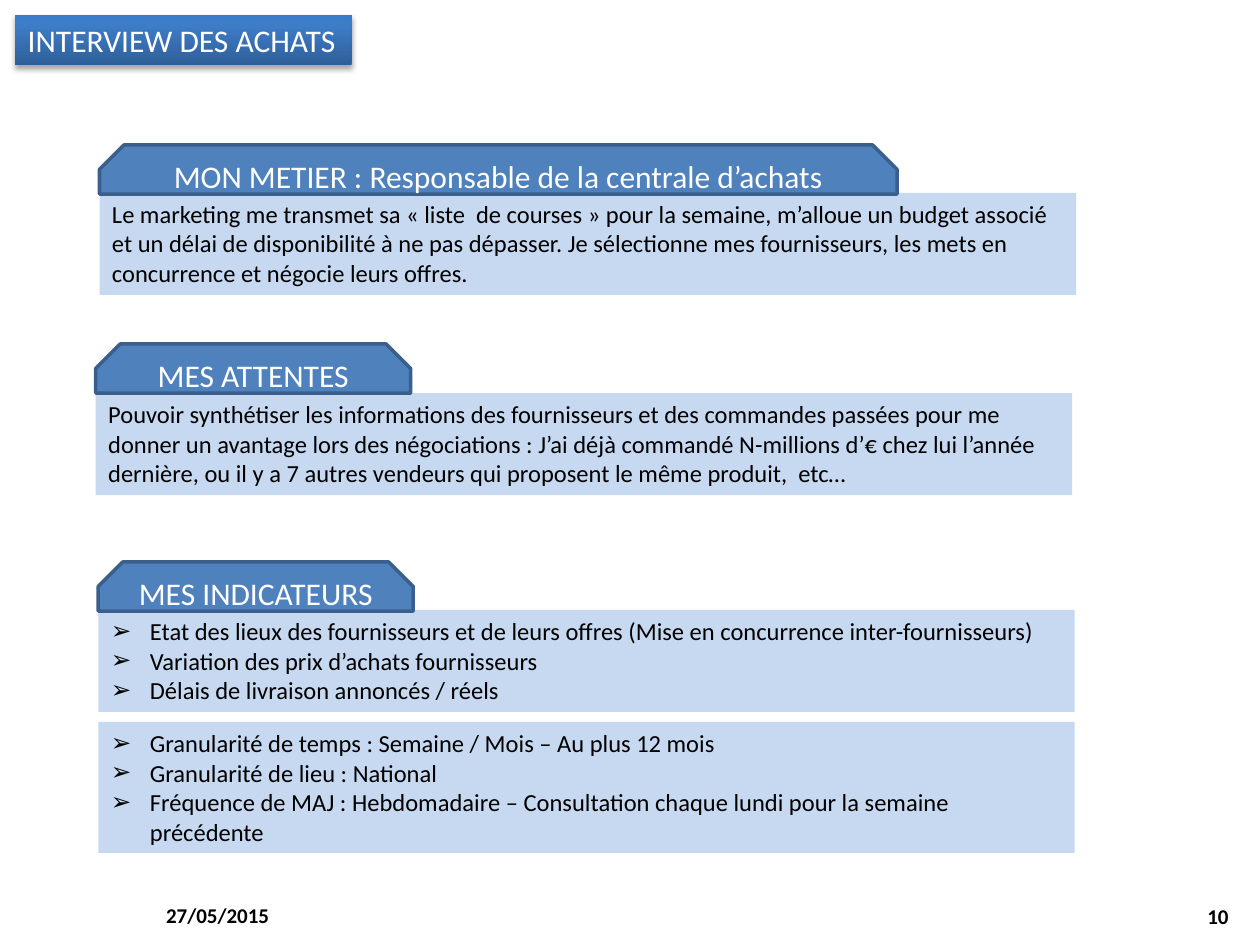
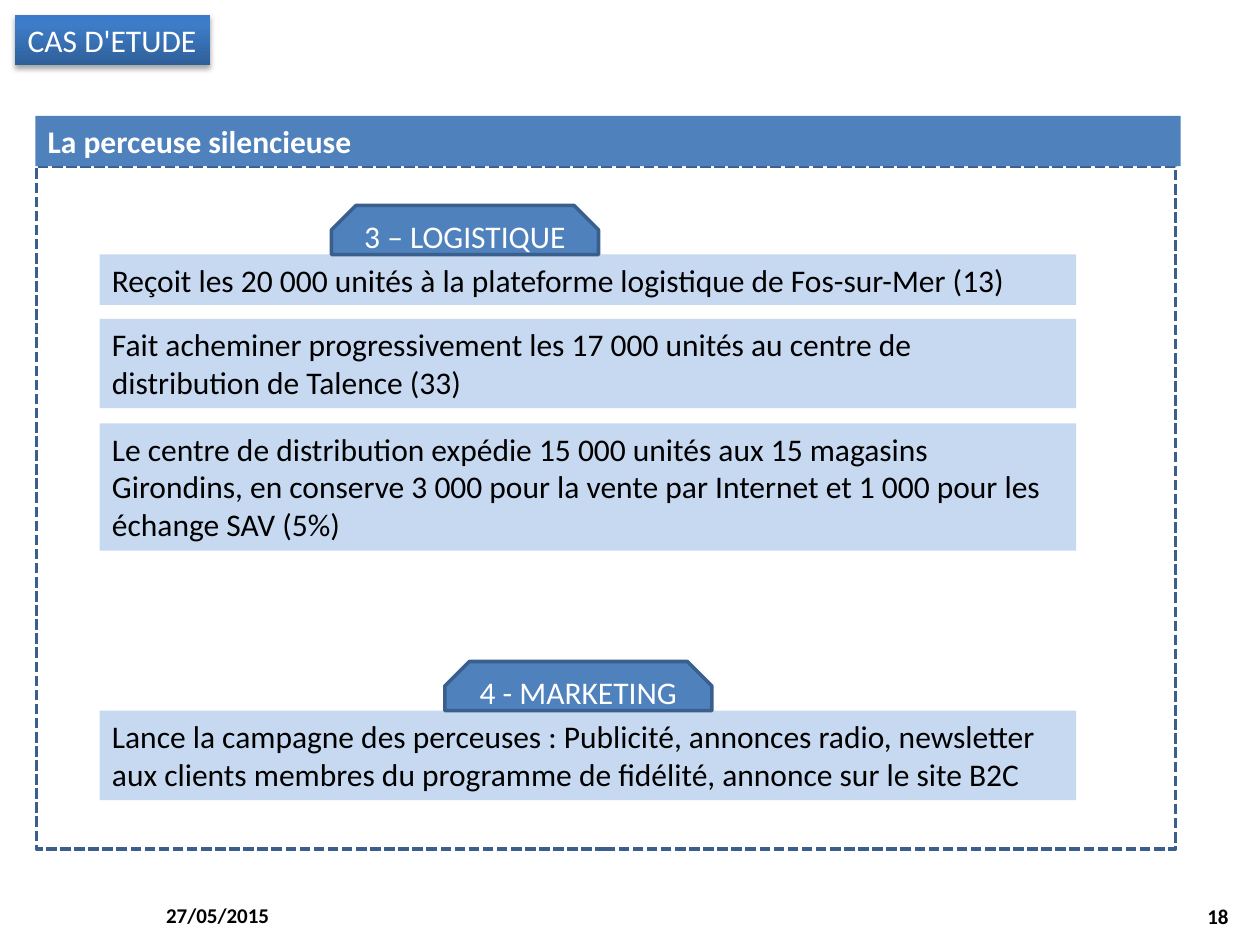
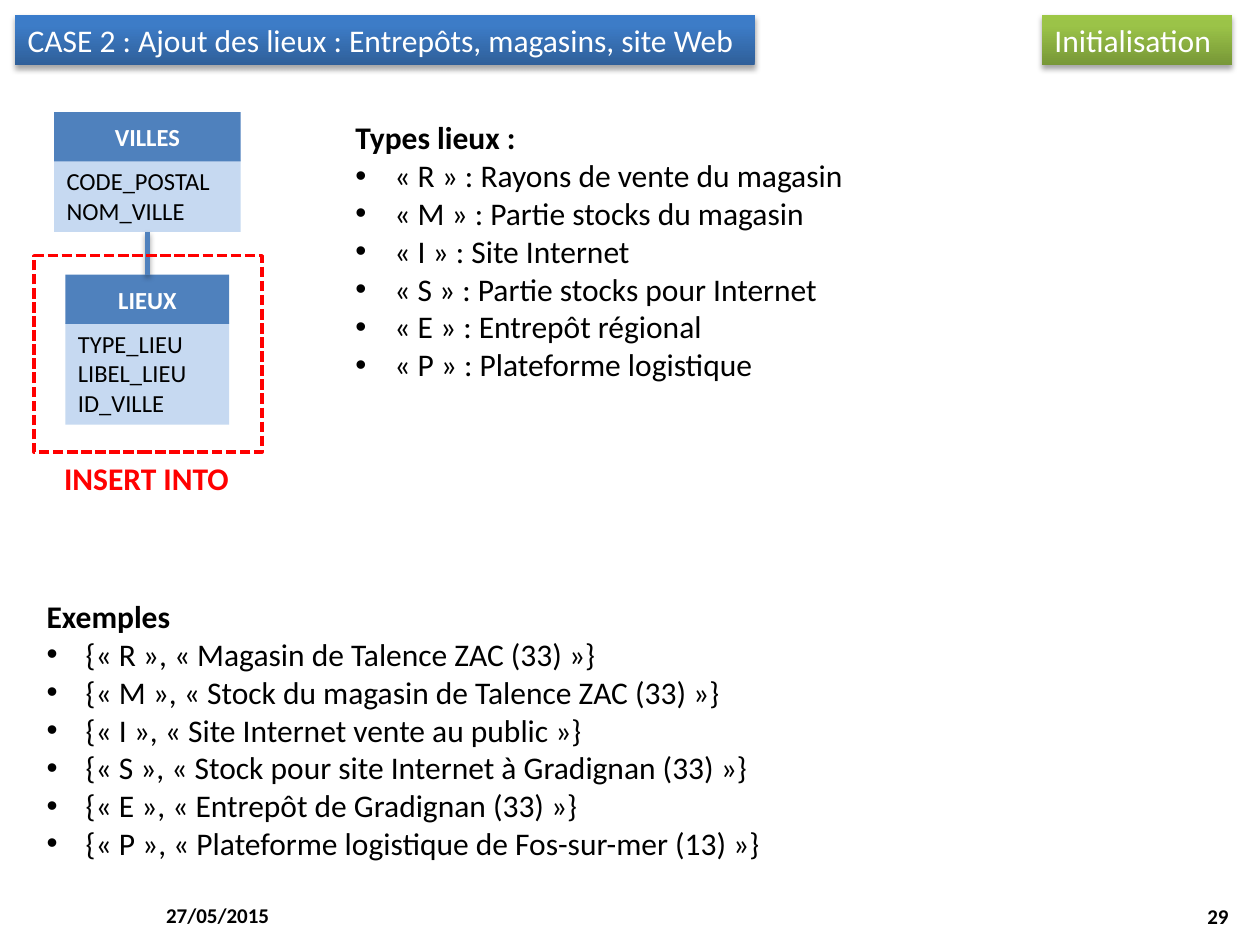
from lxml import etree
from pptx import Presentation
from pptx.dml.color import RGBColor
from pptx.enum.dml import MSO_LINE
from pptx.enum.shapes import MSO_CONNECTOR, MSO_SHAPE as SHAPE
from pptx.enum.text import MSO_ANCHOR as ANCHOR, MSO_AUTO_SIZE, PP_ALIGN as ALIGN
from pptx.oxml import parse_xml
from pptx.oxml.ns import nsdecls, qn
from pptx.util import Inches, Pt

rgb = RGBColor.from_string
FONT = "Calibri"
BLACK, WHITE, RED = "000000", "FFFFFF", "FF0000"
BLUE, PALE, EDGE = "4F81BD", "C6D9F1", "3A5F8C"
BLUE_BAND = (("0", "2F5F99"), ("80000", "3D7CC7"), ("100000", "3A7CCB"))
GREEN_BAND = (("0", "779737"), ("80000", "9BC348"), ("100000", "9DC746"))
A = nsdecls("a")
SHADOW = (f'<a:effectLst {A}><a:outerShdw blurRad="40000" dist="23000" dir="5400000" '
          'rotWithShape="0"><a:srgbClr val="000000"><a:alpha val="35000"/></a:srgbClr>'
          '</a:outerShdw></a:effectLst>')


def draw(s, kind, at, fill=None, line=None, dash=None):
    sp = s.shapes.add_shape(kind, *map(Inches, at))
    sp.shadow.inherit = False
    if fill:
        sp.fill.solid()
        sp.fill.fore_color.rgb = rgb(fill)
    else:
        sp.fill.background()
    if line:
        sp.line.color.rgb = rgb(line)
        sp.line.width = Pt(2)
        sp.line.dash_style = dash
    else:
        sp.line.fill.background()
    return sp


def write(sp, lines, size=18, color=BLACK, bold=False, align=ALIGN.LEFT,
          anchor=ANCHOR.TOP, bullet=None, heading=False, wrap=True):
    tf = sp.text_frame
    tf.word_wrap = wrap
    tf.auto_size = MSO_AUTO_SIZE.NONE
    tf.vertical_anchor = anchor
    for i, line in enumerate(lines):
        p = tf.paragraphs[0] if i == 0 else tf.add_paragraph()
        is_heading = heading and i == 0
        marked = bullet and not is_heading
        indent = Inches(0.31) if marked else 0
        pPr = p._p.get_or_add_pPr()
        pPr.set("marL", str(indent))
        pPr.set("indent", str(-indent))
        if marked:
            etree.SubElement(pPr, qn("a:buChar")).set("char", bullet)
        else:
            etree.SubElement(pPr, qn("a:buNone"))
        p.space_before = Pt(0)
        p.alignment = align
        r = p.add_run()
        r.text = line
        r.font.name = FONT
        r.font.size = Pt(size)
        r.font.bold = bool(bold or is_heading)
        r.font.color.rgb = rgb(color)


prs = Presentation()
prs.slide_width, prs.slide_height = Inches(10), Inches(7.5)
TWO_LISTS, TITLE_ONLY = prs.slide_layouts[3], prs.slide_layouts[5]

slides = []
for layout, title, width, number in (
    (TWO_LISTS, "INTERVIEW DES ACHATS", 2.67, "10"),
    (TITLE_ONLY, "CAS D'ETUDE", 1.55, "18"),
    (TWO_LISTS, "CASE 2 : Ajout des lieux : Entrepôts, magasins, site Web", 5.87, "29"),
):
    s = prs.slides.add_slide(layout)
    slides.append(s)
    for text, left, top, align in (("27/05/2015", 1.22, 7.06, ALIGN.LEFT),
                                   (number, 7.52, 7.07, ALIGN.RIGHT)):
        sp = s.shapes.add_textbox(Inches(left), Inches(top), Inches(2.33), Inches(0.4))
        write(sp, [text], 12, bold=True, align=align, anchor=ANCHOR.MIDDLE)
    bands = [(s.shapes.title, title, 0.12, width, BLUE_BAND)]
    if number == "29":
        tag = draw(s, SHAPE.RECTANGLE, (8.27, 0.12, 1.51, 0.4))
        bands.append((tag, "Initialisation", 8.27, 1.51, GREEN_BAND))
    for sp, text, left, band_width, stops in bands:
        sp.left, sp.top = Inches(left), Inches(0.12)
        sp.width, sp.height = Inches(band_width), Inches(0.4)
        spPr = sp._element.spPr
        for tag_name in ("a:noFill", "a:effectLst"):
            for old in spPr.findall(qn(tag_name)):
                spPr.remove(old)
        gs = "".join(f'<a:gs pos="{pos}"><a:srgbClr val="{c}"/></a:gs>' for pos, c in stops)
        sp.line.fill.background()
        spPr.find(qn("a:ln")).addprevious(parse_xml(
            f'<a:gradFill {A} rotWithShape="1"><a:gsLst>{gs}</a:gsLst>'
            '<a:lin ang="16200000" scaled="0"/></a:gradFill>'))
        spPr.append(parse_xml(SHADOW))
        write(sp, [text], color=WHITE, wrap=False)

interview, case_study, places = slides

indicators = (
    (4.84, 0.81, ["Etat des lieux des fournisseurs et de leurs offres (Mise en concurrence inter-fournisseurs)",
                  "Variation des prix d’achats fournisseurs",
                  "Délais de livraison annoncés / réels"]),
    (5.73, 1.04, ["Granularité de temps : Semaine / Mois – Au plus 12 mois",
                  "Granularité de lieu : National",
                  "Fréquence de MAJ : Hebdomadaire – Consultation chaque lundi pour la semaine précédente"]),
)
for idx, (top, height, lines) in enumerate(indicators, 1):
    sp = interview.placeholders[idx]
    sp.left, sp.top, sp.width, sp.height = map(Inches, (0.78, top, 7.75, height))
    sp.fill.solid()
    sp.fill.fore_color.rgb = rgb(PALE)
    write(sp, lines, 14, bullet="➢")

draw(case_study, SHAPE.RECTANGLE, (0.29, 1.32, 9.04, 5.42), line=EDGE, dash=MSO_LINE.SQUARE_DOT)
sp = draw(case_study, SHAPE.RECTANGLE, (0.28, 0.92, 9.09, 0.4), BLUE)
write(sp, ["La perceuse silencieuse"], color=WHITE, bold=True)

for s, left, top, height, size, text in (
    (interview, 0.79, 1.53, 0.81, 14,
     "Le marketing me transmet sa « liste  de courses » pour la semaine, m’alloue un budget associé et un délai de disponibilité à ne pas dépasser. Je sélectionne mes fournisseurs, les mets en concurrence et négocie leurs offres."),
    (interview, 0.76, 3.12, 0.81, 14,
     "Pouvoir synthétiser les informations des fournisseurs et des commandes passées pour me donner un avantage lors des négociations : J’ai déjà commandé N-millions d’€ chez lui l’année dernière, ou il y a 7 autres vendeurs qui proposent le même produit,  etc…"),
    (case_study, 0.79, 2.02, 0.4, 18,
     "Reçoit les 20 000 unités à la plateforme logistique de Fos-sur-Mer (13)"),
    (case_study, 0.79, 2.53, 0.71, 18,
     "Fait acheminer progressivement les 17 000 unités au centre de distribution de Talence (33)"),
    (case_study, 0.79, 3.36, 1.01, 18,
     "Le centre de distribution expédie 15 000 unités aux 15 magasins Girondins, en conserve 3 000 pour la vente par Internet et 1 000 pour les échange SAV (5%)"),
    (case_study, 0.79, 5.64, 0.71, 18,
     "Lance la campagne des perceuses : Publicité, annonces radio, newsletter aux clients membres du programme de fidélité, annonce sur le site B2C"),
):
    sp = draw(s, SHAPE.RECTANGLE, (left, top, 7.75, height), PALE)
    write(sp, [text], size)

for s, left, top, width, text in (
    (interview, 0.79, 1.15, 6.33, "MON METIER : Responsable de la centrale d’achats"),
    (interview, 0.76, 2.73, 2.5, "MES ATTENTES"),
    (interview, 0.78, 4.46, 2.5, "MES INDICATEURS"),
    (case_study, 2.63, 1.63, 2.12, "3 – LOGISTIQUE"),
    (case_study, 3.53, 5.25, 2.12, "4 - MARKETING"),
):
    sp = draw(s, SHAPE.SNIP_2_SAME_RECTANGLE, (left, top, width, 0.39), BLUE, EDGE)
    sp.adjustments[0], sp.adjustments[1] = 0.5, 0
    write(sp, [text], color=WHITE, align=ALIGN.CENTER, anchor=ANCHOR.MIDDLE)

entities = []
for name, left, top, width, height, fields in (
    ("VILLES", 0.43, 0.89, 1.48, 0.57, ["CODE_POSTAL", "NOM_VILLE"]),
    ("LIEUX", 0.52, 2.18, 1.3, 0.81, ["TYPE_LIEU", "LIBEL_LIEU", "ID_VILLE"]),
):
    body = draw(places, SHAPE.RECTANGLE, (left, top + 0.38, width, height), PALE)
    write(body, fields, 14)
    header = draw(places, SHAPE.RECTANGLE, (left, top, width, 0.39), BLUE)
    write(header, [name], 14, WHITE, True, ALIGN.CENTER, ANCHOR.MIDDLE)
    entities.append((header, body))

link = places.shapes.add_connector(MSO_CONNECTOR.STRAIGHT, *map(Inches, (1.17, 1.84, 1.17, 2.18)))
link.begin_connect(entities[0][1], 2)
link.end_connect(entities[1][0], 0)
link.line.color.rgb = rgb(BLUE)
link.line.width = Pt(3)
link._element.spPr.append(parse_xml(SHADOW))

draw(places, SHAPE.RECTANGLE, (0.27, 2.03, 1.81, 1.56), line=RED, dash=MSO_LINE.SQUARE_DOT)
sp = places.shapes.add_textbox(*map(Inches, (0.41, 3.59, 1.52, 0.4)))
write(sp, ["INSERT INTO"], color=RED, bold=True, wrap=False)

place_lists = (
    ((2.72, 0.89, 4.12, 2.22), [
        "Types lieux :",
        "« R » : Rayons de vente du magasin",
        "« M » : Partie stocks du magasin",
        "« I » : Site Internet",
        "« S » : Partie stocks pour Internet",
        "« E » : Entrepôt régional",
        "« P » : Plateforme logistique"]),
    ((0.27, 4.69, 5.94, 2.52), [
        "Exemples",
        "{« R », « Magasin de Talence ZAC (33) »}",
        "{« M », « Stock du magasin de Talence ZAC (33) »}",
        "{« I », « Site Internet vente au public »}",
        "{« S », « Stock pour site Internet à Gradignan (33) »}",
        "{« E », « Entrepôt de Gradignan (33) »}",
        "{« P », « Plateforme logistique de Fos-sur-mer (13) »}"]),
)
for idx, (at, lines) in enumerate(place_lists, 1):
    sp = places.placeholders[idx]
    sp.left, sp.top, sp.width, sp.height = map(Inches, at)
    write(sp, lines, bullet="•", heading=True)

prs.save("out.pptx")
